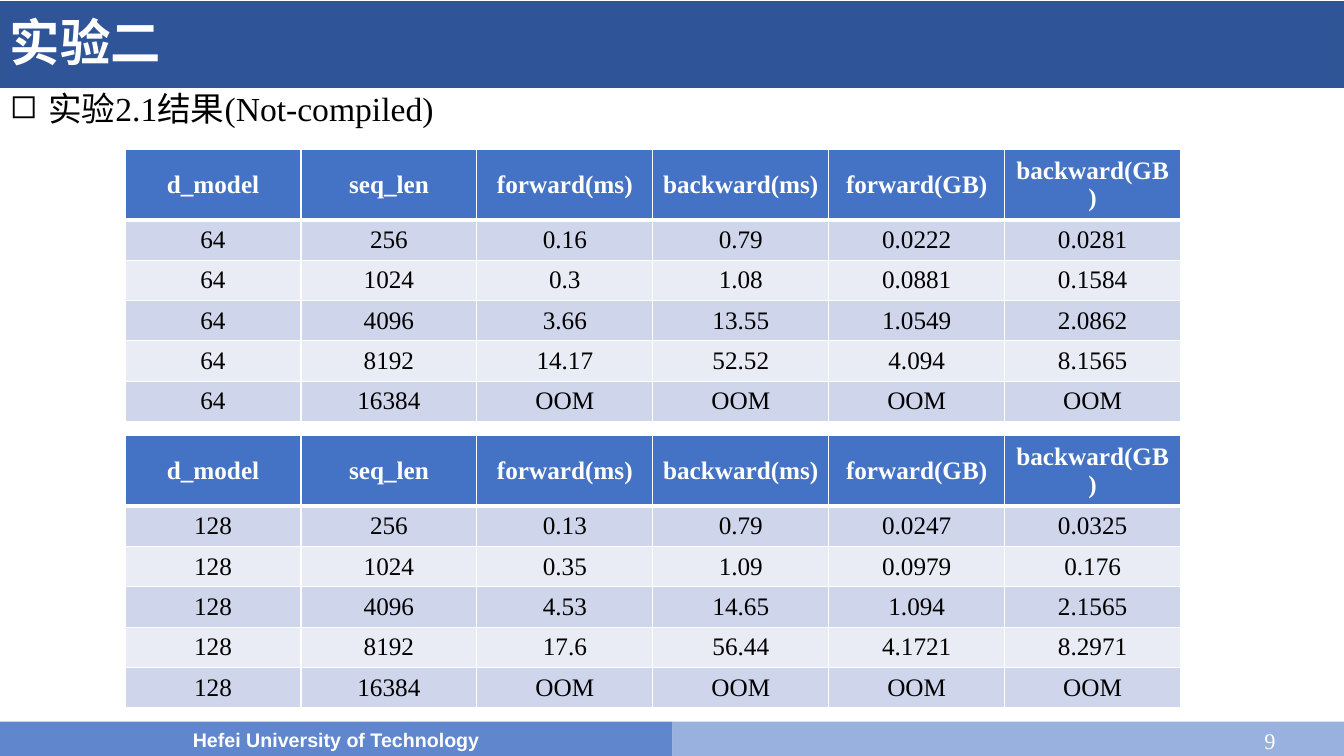
from dataclasses import dataclass

from lxml.etree import SubElement as Sub
from pptx import Presentation
from pptx.dml.color import RGBColor
from pptx.enum.shapes import MSO_SHAPE as Shape
from pptx.enum.text import MSO_ANCHOR as Anchor, PP_ALIGN as Align
from pptx.oxml.ns import qn
from pptx.util import Inches, Pt

WHITE, BLACK = "FFFFFF", "000000"
HEAD, BANDS = "4472C4", ("CFD5EA", "E9EBF5")
COLUMNS = ("d_model", "seq_len", "forward(ms)", "backward(ms)",
           "forward(GB)", "backward(GB)")
HEAD_H, ROW_H = 0.64, 0.4


@dataclass
class Bar:
    box: tuple[float, float, float, float]
    fill: str
    line: str = ""
    text: str = ""


@dataclass
class Result:
    top: float
    model: int
    rows: tuple[str, ...]


BARS = (
    Bar((0, 0.02, 13.33, 0.85), "2F5497", line="325491"),
    Bar((6.67, 7.16, 6.67, 0.35), "99B1DF"),
    Bar((0, 7.16, 6.67, 0.35), "6087CD", text="Hefei University of Technology"),
)
RESULTS = (
    Result(1.48, 64, (
        "256 0.16 0.79 0.0222 0.0281",
        "1024 0.3 1.08 0.0881 0.1584",
        "4096 3.66 13.55 1.0549 2.0862",
        "8192 14.17 52.52 4.094 8.1565",
        "16384 OOM OOM OOM OOM")),
    Result(4.32, 128, (
        "256 0.13 0.79 0.0247 0.0325",
        "1024 0.35 1.09 0.0979 0.176",
        "4096 4.53 14.65 1.094 2.1565",
        "8192 17.6 56.44 4.1721 8.2971",
        "16384 OOM OOM OOM OOM")),
)


def paint(target, color: str) -> None:
    """Give a fill or a line one solid colour."""
    target.solid()
    target.fore_color.rgb = RGBColor.from_string(color)


def write(frame, text: str, *, size: float, color: str = WHITE,
          font: str = "Times New Roman", bold: bool = False,
          align=Align.LEFT, anchor=Anchor.MIDDLE, spacing: float = 1,
          before: float = 0, bullet: str = "", indent: float = 0) -> None:
    frame.word_wrap = True
    frame.vertical_anchor = anchor
    para = frame.paragraphs[0]
    para.alignment = align
    para.line_spacing = spacing
    para.space_before = Pt(before)
    run = para.add_run()
    run.text = text
    run.font.size = Pt(size)
    run.font.bold = bold
    run.font.name = font
    paint(run.font.fill, color)
    if bullet:
        props = para._p.get_or_add_pPr()
        props.set("marL", str(Inches(indent)))
        props.set("indent", str(-Inches(indent)))
        Sub(props, qn("a:buChar"), char=bullet)


def draw_bar(slide, bar: Bar) -> None:
    shape = slide.shapes.add_shape(Shape.RECTANGLE, *map(Inches, bar.box))
    shape.shadow.inherit = False
    paint(shape.fill, bar.fill)
    if bar.line:
        paint(shape.line.fill, bar.line)
        shape.line.width = Pt(1)
    else:
        shape.line.fill.background()
    if bar.text:
        write(shape.text_frame, bar.text, size=14, font="Arial", bold=True,
              align=Align.CENTER)


def add_text(slide, box: tuple[float, float, float, float], text: str,
             **style) -> None:
    frame = slide.shapes.add_textbox(*map(Inches, box)).text_frame
    write(frame, text, **style)


def edge(cell, **widths: float) -> None:
    """Draw white cell borders; widths are in points, keyed by side."""
    props = cell._tc.get_or_add_tcPr()
    for side, width in widths.items():
        line = Sub(props, qn(f"a:ln{side}"), w=str(Pt(width)))
        Sub(Sub(line, qn("a:solidFill")), qn("a:srgbClr"), val=WHITE)


def draw_table(slide, result: Result) -> None:
    data = [COLUMNS] + [(str(result.model), *row.split()) for row in result.rows]
    height = HEAD_H + ROW_H * len(result.rows)
    table = slide.shapes.add_table(
        len(data), len(COLUMNS), Inches(1.24), Inches(result.top),
        Inches(10.47), Inches(height)).table
    for r, values in enumerate(data):
        head = r == 0
        table.rows[r].height = Inches(HEAD_H if head else ROW_H)
        for c, value in enumerate(values):
            cell = table.cell(r, c)
            edge(cell, L=1, R=1, T=3 if r == 1 else 1, B=3 if head else 1)
            paint(cell.fill, HEAD if head else BANDS[(r - 1) % 2])
            cell.vertical_anchor = Anchor.MIDDLE
            write(cell.text_frame, value, size=18, bold=head,
                  color=WHITE if head else BLACK, align=Align.CENTER,
                  anchor=None)


def main() -> None:
    deck = Presentation()
    deck.slide_width, deck.slide_height = Inches(13.33), Inches(7.5)
    slide = deck.slides.add_slide(deck.slide_layouts[6])
    for bar in BARS:
        draw_bar(slide, bar)
    add_text(slide, (0, 0.02, 12.91, 0.85), "实验二", size=36, bold=True,
             spacing=0.9, before=1.3)
    add_text(slide, (9.75, 7.16, 3, 0.37), "9", size=16, align=Align.RIGHT)
    add_text(slide, (0, 0.87, 13.33, 6.09), "实验2.1结果(Not-compiled)",
             size=24, color=BLACK, anchor=Anchor.TOP, spacing=0.9, before=10,
             bullet="◻", indent=0.38)
    for result in RESULTS:
        draw_table(slide, result)
    deck.save("out.pptx")


if __name__ == "__main__":
    main()
